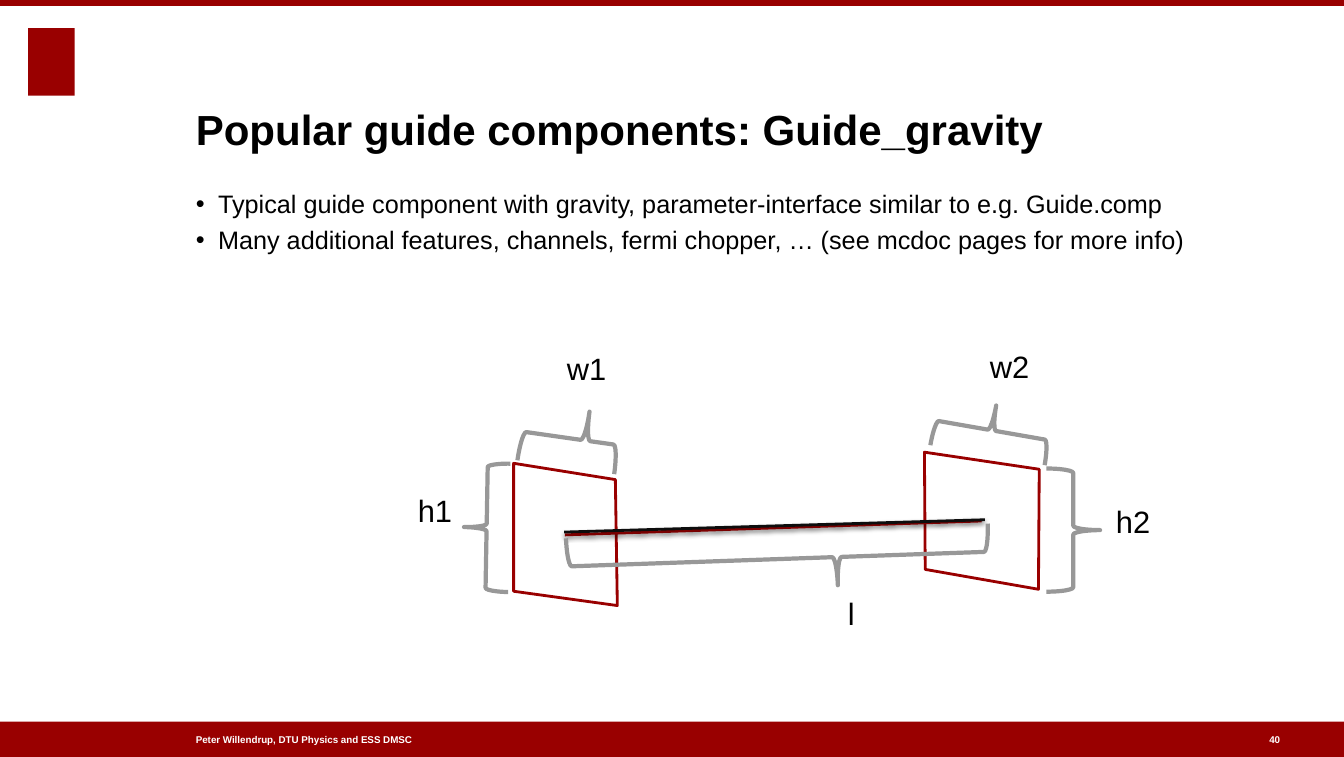
from dataclasses import dataclass

from lxml.etree import SubElement
from pptx import Presentation
from pptx.dml.color import RGBColor
from pptx.enum.shapes import MSO_CONNECTOR, MSO_SHAPE
from pptx.enum.text import MSO_ANCHOR, MSO_AUTO_SIZE, PP_ALIGN
from pptx.oxml.ns import qn
from pptx.util import Cm, Pt


@dataclass(frozen=True)
class Theme:
    font: str = "Arial"
    red: RGBColor = RGBColor(0x99, 0x00, 0x00)
    white: RGBColor = RGBColor(0xFF, 0xFF, 0xFF)
    black: RGBColor = RGBColor(0x00, 0x00, 0x00)
    axis: RGBColor = RGBColor(0x0D, 0x0D, 0x0D)
    grey: RGBColor = RGBColor(0x98, 0x98, 0x98)
    title: Pt = Pt(30)
    body: Pt = Pt(18)
    label: Pt = Pt(22)
    footer: Pt = Pt(7)


theme = Theme()


def write(sp, lines, size, color, bold=False, anchor=MSO_ANCHOR.TOP, wrap=True):
    """Fill a text shape with one left-aligned paragraph per line, without insets."""
    tf = sp.text_frame
    frame_format = dict(margin_left=0, margin_top=0, margin_right=0, margin_bottom=0,
                        word_wrap=wrap, vertical_anchor=anchor,
                        auto_size=MSO_AUTO_SIZE.NONE)
    for name, value in frame_format.items():
        setattr(tf, name, value)
    for i, line in enumerate(lines):
        p = tf.paragraphs[0] if i == 0 else tf.add_paragraph()
        p.alignment = PP_ALIGN.LEFT
        p.space_before = Pt(4 if i else 0)
        r = p.add_run()
        r.text = line
        for name, value in dict(name=theme.font, size=size, bold=bold).items():
            setattr(r.font, name, value)
        r.font.color.rgb = color


def outline(sp, color, width):
    sp.line.color.rgb = color
    sp.line.width = Pt(width)


prs = Presentation()
prs.slide_width, prs.slide_height = Cm(33.83), Cm(19.05)
s = prs.slides.add_slide(prs.slide_layouts[1])
shapes = s.shapes

# Top bar, footer bar and emblem block
for x, y, w, h in [(0, 0, 33.83, 0.15), (0, 18.16, 33.83, 0.89), (0.71, 0.71, 1.17, 1.7)]:
    sp = shapes.add_shape(MSO_SHAPE.RECTANGLE, Cm(x), Cm(y), Cm(w), Cm(h))
    sp.shadow.inherit = False
    sp.fill.solid()
    sp.fill.fore_color.rgb = theme.red
    sp.line.fill.background()

# Title and bullet list
title, body = shapes.title, s.placeholders[1]
for sp, y, h in [(title, 1.19, 2.69), (body, 4.75, 12.62)]:
    sp.left, sp.top, sp.width, sp.height = Cm(4.93), Cm(y), Cm(25.86), Cm(h)
write(title, ["Popular guide components: Guide_gravity"], theme.title, theme.black,
      bold=True, anchor=MSO_ANCHOR.BOTTOM)
write(body, [
    "Typical guide component with gravity, parameter-interface similar to e.g. Guide.comp",
    "Many additional features, channels, fermi chopper, … (see mcdoc pages for more info)",
], theme.body, theme.black)
for p in body.text_frame.paragraphs:
    pPr = p._p.get_or_add_pPr()
    pPr.set("marL", str(Cm(0.56)))
    pPr.set("indent", str(-Cm(0.56)))
    SubElement(pPr, qn("a:buChar"), char="•")

# Footer texts
for text, x, w, wrap in [("Peter Willendrup, DTU Physics and ESS DMSC", 4.93, 9.45, True),
                         ("40", 31.95, 0.36, False)]:
    sp = shapes.add_textbox(Cm(x), Cm(18.44), Cm(w), Cm(0.36))
    write(sp, [text], theme.footer, theme.white, bold=True,
          anchor=MSO_ANCHOR.MIDDLE, wrap=wrap)

# Guide entry and exit windows
entry = [(12.93, 11.66), (15.49, 12.07), (15.54, 15.24), (12.93, 14.88)]
exit_window = [(23.27, 11.38), (26.16, 11.81), (26.14, 14.83), (23.29, 14.33)]
for corners in (entry, exit_window):
    points = [(Cm(x), Cm(y)) for x, y in corners]
    fb = shapes.build_freeform(*points[0], scale=1.0)
    fb.add_line_segments(points[1:], close=True)
    sp = fb.convert_to_shape()
    sp.shadow.inherit = False
    sp.fill.solid()
    sp.fill.fore_color.rgb = theme.white
    outline(sp, theme.red, 2)

# Guide axis: two lines with a soft shadow
for x1, y1, x2, y2, color in [(14.22, 13.46, 24.71, 13.11, theme.red),
                              (14.2, 13.39, 24.79, 13.08, theme.axis)]:
    sp = shapes.add_connector(MSO_CONNECTOR.STRAIGHT, Cm(x1), Cm(y1), Cm(x2), Cm(y2))
    outline(sp, color, 2)
    effects = SubElement(sp._element.spPr, qn("a:effectLst"))
    shadow = SubElement(effects, qn("a:outerShdw"), blurRad=str(Pt(3)),
                        dist=str(Pt(1.6)), dir="5400000", rotWithShape="0")
    shade = SubElement(shadow, qn("a:srgbClr"), val=str(theme.black))
    SubElement(shade, qn("a:alpha"), val="38000")

# Dimensions: label, its place, then the brace box, rotation and tip position
dimensions = [
    ("w1", 14.27, 8.79, (13.61, 9.8, 1.47, 2.46), 98.1, 0.34),
    ("h1", 10.52, 12.37, (11.68, 11.66, 1.14, 3.23), 1, 0.5),
    ("w2", 24.92, 8.76, (24.33, 9.37, 1.27, 2.92), 99.9, 0.5),
    ("h2", 28.09, 12.65, (26.34, 11.79, 1.35, 3.1), 180, 0.5),
    ("l", 21.34, 14.96, (18.87, 8.76, 1.42, 10.62), 268, 0.64),
]
for label, x, y, box, rotation, tip in dimensions:
    brace = shapes.add_shape(MSO_SHAPE.LEFT_BRACE, *map(Cm, box))
    brace.shadow.inherit = False
    brace.fill.background()
    brace.rotation = rotation
    brace.adjustments[1] = tip
    outline(brace, theme.grey, 3)
    sp = shapes.add_textbox(Cm(x), Cm(y), Cm(3.38), Cm(0.89))
    write(sp, [label], theme.label, theme.black)

prs.save("out.pptx")
